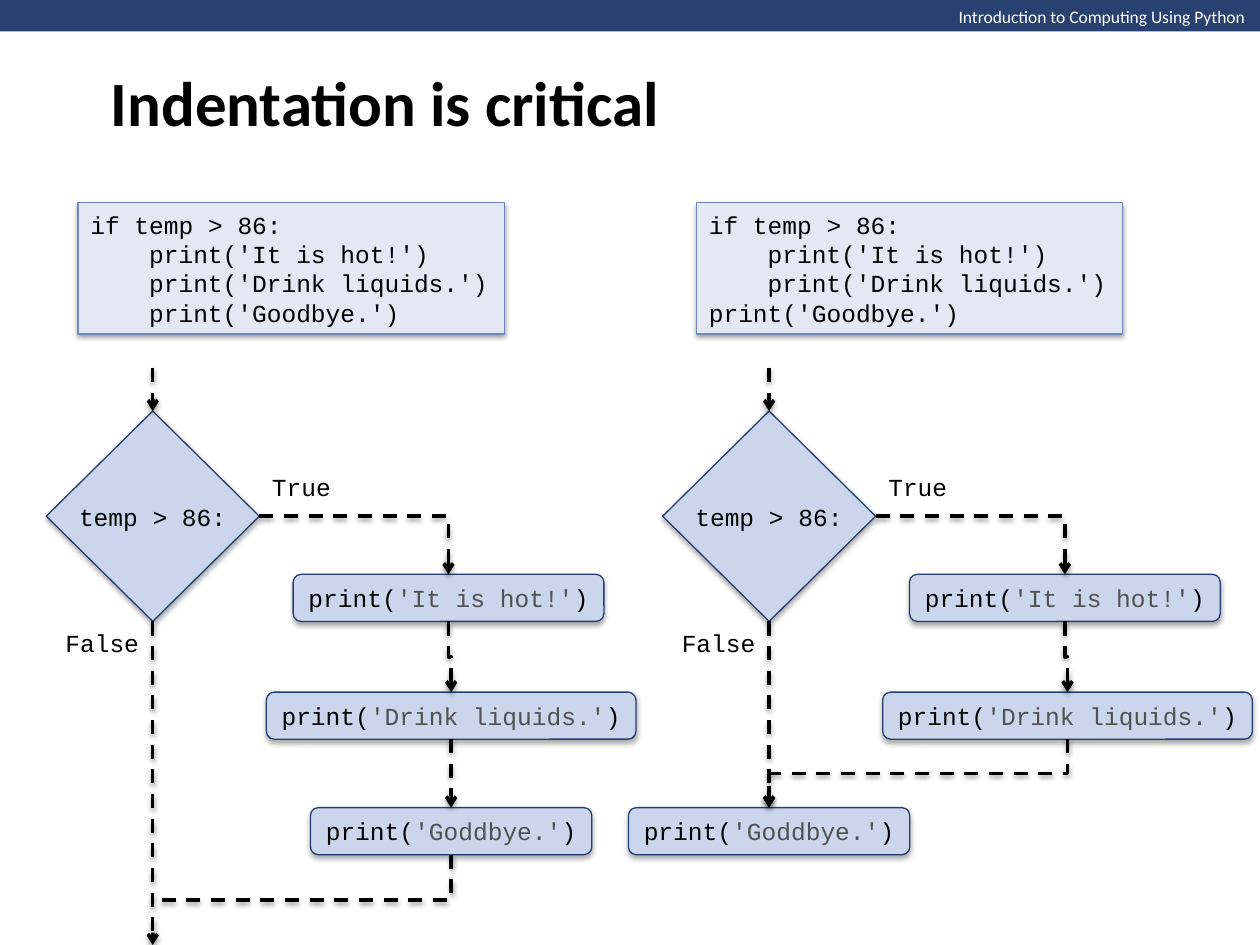
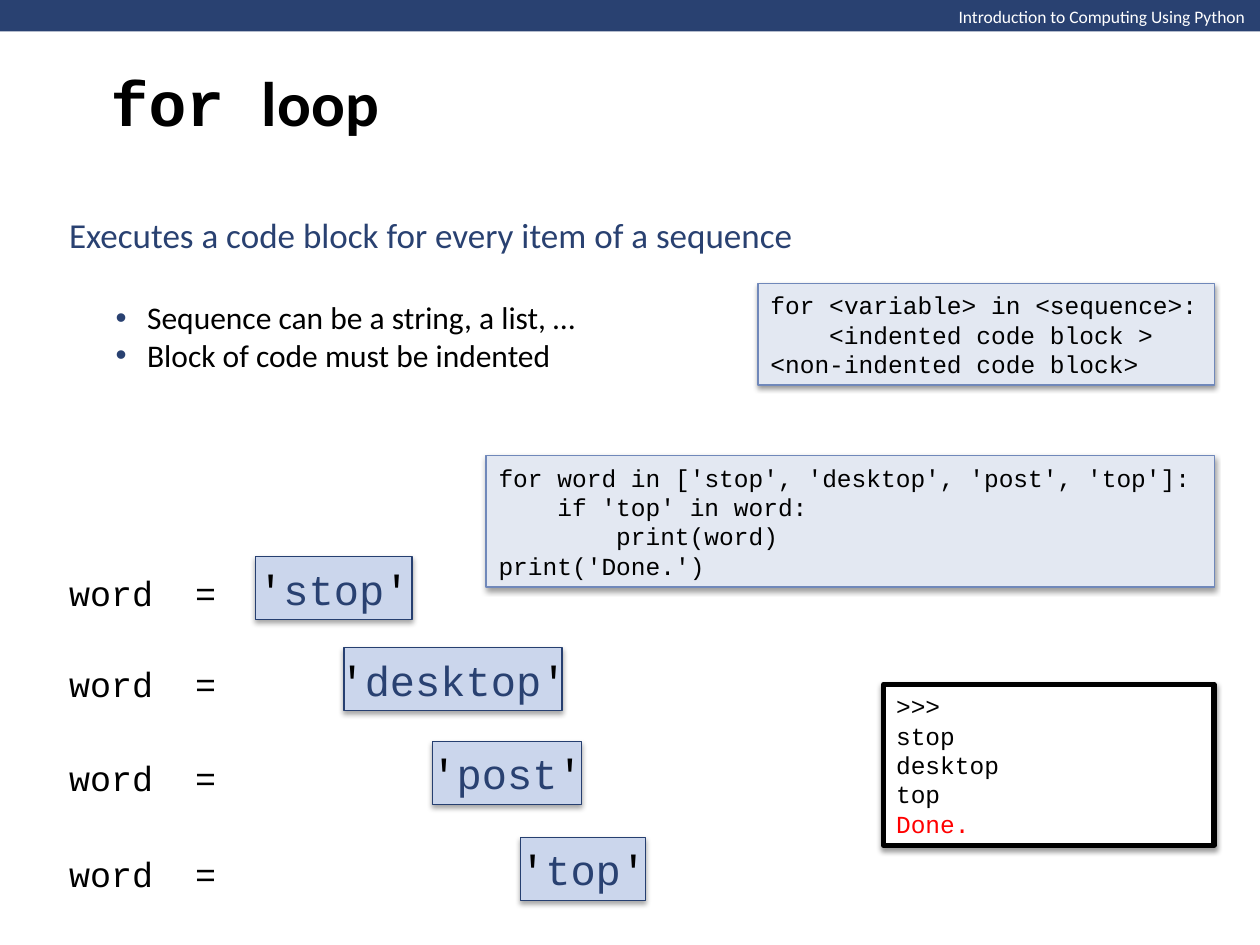
from lxml.etree import SubElement
from pptx import Presentation
from pptx.dml.color import RGBColor
from pptx.enum.dml import MSO_LINE
from pptx.enum.shapes import MSO_CONNECTOR, MSO_SHAPE
from pptx.enum.text import MSO_ANCHOR, PP_ALIGN
from pptx.oxml.ns import qn
from pptx.util import Pt

NAVY, BLACK, WHITE, GRAY, RED = "294171", "000000", "FFFFFF", "505150", "FF0000"
CODE_FILL, CODE_LINE = "E3E8F2", "7088BA"
NODE_FILL, NODE_LINE = "CBD6EC", "263F70"
SANS, MONO = "Calibri", "Courier New"
CODE_SIZE = 14
CHARACTER = CODE_SIZE * 0.6
TOP, BOTTOM, RIGHT = 0, 2, 3


def color(value):
    return RGBColor.from_string(value)


class Deck:
    def __init__(self):
        self.presentation = Presentation()
        self.presentation.slide_width = Pt(720)
        self.presentation.slide_height = Pt(540)
        self.slide = None

    def add_slide(self, *title_runs):
        layout = self.presentation.slide_layouts[6]
        self.slide = self.presentation.slides.add_slide(layout)
        self.box(MSO_SHAPE.RECTANGLE, 0, 0, 720, 18, NAVY)
        header = self.text(540.7, 0, 180, 19.4, wrap=False, anchor=MSO_ANCHOR.TOP)
        self.add_runs(header, [("Introduction to Computing Using Python", WHITE, SANS)], 10)
        title = self.text(56.2, 0, 612, 116)
        self.add_runs(title, title_runs, 36, bold=True)

    def frame(self, shape, wrap, anchor):
        shape.text_frame.word_wrap = wrap
        shape.text_frame.vertical_anchor = anchor
        return shape

    def text(self, left, top, width, height, wrap=True, anchor=MSO_ANCHOR.MIDDLE):
        shape = self.slide.shapes.add_textbox(Pt(left), Pt(top), Pt(width), Pt(height))
        return self.frame(shape, wrap, anchor)

    def add_runs(self, shape, runs, size, first=True, align=PP_ALIGN.LEFT, bold=False):
        frame = shape.text_frame
        paragraph = frame.paragraphs[0] if first else frame.add_paragraph()
        paragraph.alignment = align
        for words, run_color, font in runs:
            run = paragraph.add_run()
            run.text = words
            run.font.size = Pt(size)
            run.font.name = font
            run.font.bold = bold
            run.font.color.rgb = color(run_color)
        return paragraph

    def indent(self, paragraph, margin, hanging=0):
        properties = paragraph._p.get_or_add_pPr()
        properties.set("marL", str(Pt(margin)))
        properties.set("indent", str(Pt(-hanging)))
        return properties

    def bullet(self, shape, words, space_before=0):
        paragraph = self.add_runs(shape, [(words, BLACK, SANS)], 18, first=False)
        paragraph.space_before = Pt(space_before)
        properties = self.indent(paragraph, 44.6, 18)
        SubElement(SubElement(properties, qn("a:buClr")), qn("a:srgbClr"), val=NAVY)
        SubElement(properties, qn("a:buFont"), typeface="Arial")
        SubElement(properties, qn("a:buChar"), char="•")

    def shadow(self, shape, percent):
        effects = SubElement(shape._element.spPr, qn("a:effectLst"))
        outer = SubElement(effects, qn("a:outerShdw"), blurRad=str(Pt(3.1)),
                           dist=str(Pt(1.7)), dir="5400000", rotWithShape="0")
        shade = SubElement(outer, qn("a:srgbClr"), val=BLACK)
        SubElement(shade, qn("a:alpha"), val=str(percent * 1000))

    def box(self, kind, left, top, width, height, fill, line=None, weight=0.75,
            shade=35, wrap=False):
        shape = self.slide.shapes.add_shape(kind, Pt(left), Pt(top), Pt(width), Pt(height))
        shape.fill.solid()
        shape.fill.fore_color.rgb = color(fill)
        if line:
            shape.line.color.rgb = color(line)
            shape.line.width = Pt(weight)
            self.shadow(shape, shade)
        else:
            shape.line.fill.background()
            shape.shadow.inherit = False
        return self.frame(shape, wrap, MSO_ANCHOR.MIDDLE)

    def code(self, left, top, width, height, lines, fill=CODE_FILL, line=CODE_LINE,
             weight=0.75):
        shape = self.box(MSO_SHAPE.RECTANGLE, left, top, width, height, fill, line,
                         weight, shade=38, wrap=True)
        for number, (level, words, line_color) in enumerate(lines):
            paragraph = self.add_runs(shape, [(words, line_color, MONO)], CODE_SIZE,
                                      first=number == 0)
            self.indent(paragraph, level * 4 * CHARACTER)

    def node(self, kind, left, top, width, height, runs, size=CODE_SIZE):
        shape = self.box(kind, left, top, width, height, NODE_FILL, NODE_LINE)
        self.add_runs(shape, [(words, run_color, MONO) for words, run_color in runs],
                      size, align=PP_ALIGN.CENTER)
        return shape

    def process(self, center, top, literal):
        width = (len(literal) + len("print()")) * CHARACTER + 18
        return self.node(MSO_SHAPE.FLOWCHART_ALTERNATE_PROCESS, center - width / 2, top,
                         width, 26.9, [("print(", BLACK), (literal, GRAY), (")", BLACK)])

    def label(self, left, top, width, height, words, size=CODE_SIZE):
        shape = self.text(left, top, width, height)
        self.add_runs(shape, [(words, BLACK, MONO)], size)

    def link(self, begin, end, preset="line", downward=False, arrow=True):
        kind = MSO_CONNECTOR.STRAIGHT if preset == "line" else MSO_CONNECTOR.ELBOW
        connector = self.slide.shapes.add_connector(kind, 0, 0, 0, 0)
        if isinstance(begin[1], int):
            connector.begin_connect(*begin)
        else:
            connector.begin_x, connector.begin_y = map(Pt, begin)
        if isinstance(end[1], int):
            connector.end_connect(*end)
        else:
            connector.end_x, connector.end_y = map(Pt, end)
        properties = connector._element.spPr
        properties.find(qn("a:prstGeom")).set("prst", preset)
        if downward:
            self.turn_down(connector)
        connector.line.color.rgb = color(BLACK)
        connector.line.width = Pt(2)
        connector.line.dash_style = MSO_LINE.DASH
        if arrow:
            SubElement(properties.find(qn("a:ln")), qn("a:tailEnd"), type="arrow")
        self.shadow(connector, 38)

    def turn_down(self, connector):
        across = connector.end_x - connector.begin_x
        width, height = connector.width, connector.height
        middle = connector.left + width // 2, connector.top + height // 2
        connector.left, connector.top = middle[0] - height // 2, middle[1] - width // 2
        connector.width, connector.height = height, width
        transform = connector._element.spPr.xfrm
        transform.set("rot", "5400000")
        transform.set("flipH", "0")
        transform.set("flipV", "1" if across > 0 else "0")

    def flowchart(self, shift, goodbye_in_block):
        axis, hot_axis, drink_axis = 87.3 + shift, 256.3 + shift, 257.8 + shift
        decision = self.node(MSO_SHAPE.FLOWCHART_DECISION, axis - 60.85, 234.9, 121.7,
                             120.2, [("temp > 86:", BLACK)])
        hot = self.process(hot_axis, 328.2, "'It is hot!'")
        drink = self.process(drink_axis, 395.5, "'Drink liquids.'")
        goodbye = self.process(drink_axis if goodbye_in_block else axis, 461.5,
                               "'Goddbye.'")
        self.label(axis + 61, 265.7, 48.5, 24.5, "True")
        self.label(axis - 57, 355, 57, 24.5, "False")
        self.link((axis, 210.4), (decision, TOP))
        self.link((decision, RIGHT), (hot, TOP), "bentConnector2")
        self.link((hot, BOTTOM), (drink, TOP), "bentConnector3", downward=True)
        if goodbye_in_block:
            self.link((drink, BOTTOM), (goodbye, TOP))
            self.link((decision, BOTTOM), (axis, 540.0))
            self.link((goodbye, BOTTOM), (axis, 514.2), "bentConnector2",
                      downward=True, arrow=False)
        else:
            self.link((decision, BOTTOM), (goodbye, TOP))
            self.link((drink, BOTTOM), (goodbye, TOP), "bentConnector3", downward=True)


def indentation_slide(deck):
    deck.add_slide(("Indentation is critical", BLACK, SANS))
    for code_left, shift, goodbye_level in ((44.6, 0, 1), (398, 352.2, 0)):
        deck.code(code_left, 115.9, 243.6, 75, [
            (0, "if temp > 86:", BLACK),
            (1, "print('It is hot!')", BLACK),
            (1, "print('Drink liquids.')", BLACK),
            (goodbye_level, "print('Goodbye.')", BLACK),
        ])
        deck.flowchart(shift, goodbye_in_block=goodbye_level == 1)


def for_loop_slide(deck):
    deck.add_slide(("for ", BLACK, MONO), ("loop", BLACK, SANS))
    summary = deck.text(32.4, 118.1, 430, 99.4)
    deck.add_runs(summary, [("Executes a code block for every item of a sequence", NAVY,
                             SANS)], 20)
    deck.bullet(summary, "Sequence can be a string, a list, …", space_before=24.4)
    deck.bullet(summary, "Block of code must be indented")

    deck.code(433.2, 162, 260.8, 58, [
        (0, "for <variable> in <sequence>:", BLACK),
        (1, "<indented code block >", BLACK),
        (0, "<non-indented code block>", BLACK),
    ])
    deck.code(277.8, 260.5, 416.2, 75, [
        (0, "for word in ['stop', 'desktop', 'post', 'top']:", BLACK),
        (1, "if 'top' in word:", BLACK),
        (2, "print(word)", BLACK),
        (0, "print('Done.')", BLACK),
    ])
    words = (("stop", 318.2, 89.5), ("desktop", 370.2, 124.7),
             ("post", 423.6, 85.5), ("top", 478.6, 71.5))
    for number, (word, top, width) in enumerate(words):
        deck.label(32.4, top + 4.7, 99.6, 31.5, "word\t=", 20)
        deck.node(MSO_SHAPE.RECTANGLE, 146 + 50.5 * number, top, width, 36,
                  [("'", BLACK), (word, NAVY), ("'", BLACK)], 24)
    output = [(0, line, BLACK) for line in (">>>", "stop", "desktop", "top")]
    deck.code(505, 391, 188.8, 92, output + [(0, "Done.", RED)], WHITE, BLACK, 3)


def main():
    deck = Deck()
    indentation_slide(deck)
    for_loop_slide(deck)
    deck.presentation.save("out.pptx")


if __name__ == "__main__":
    main()
